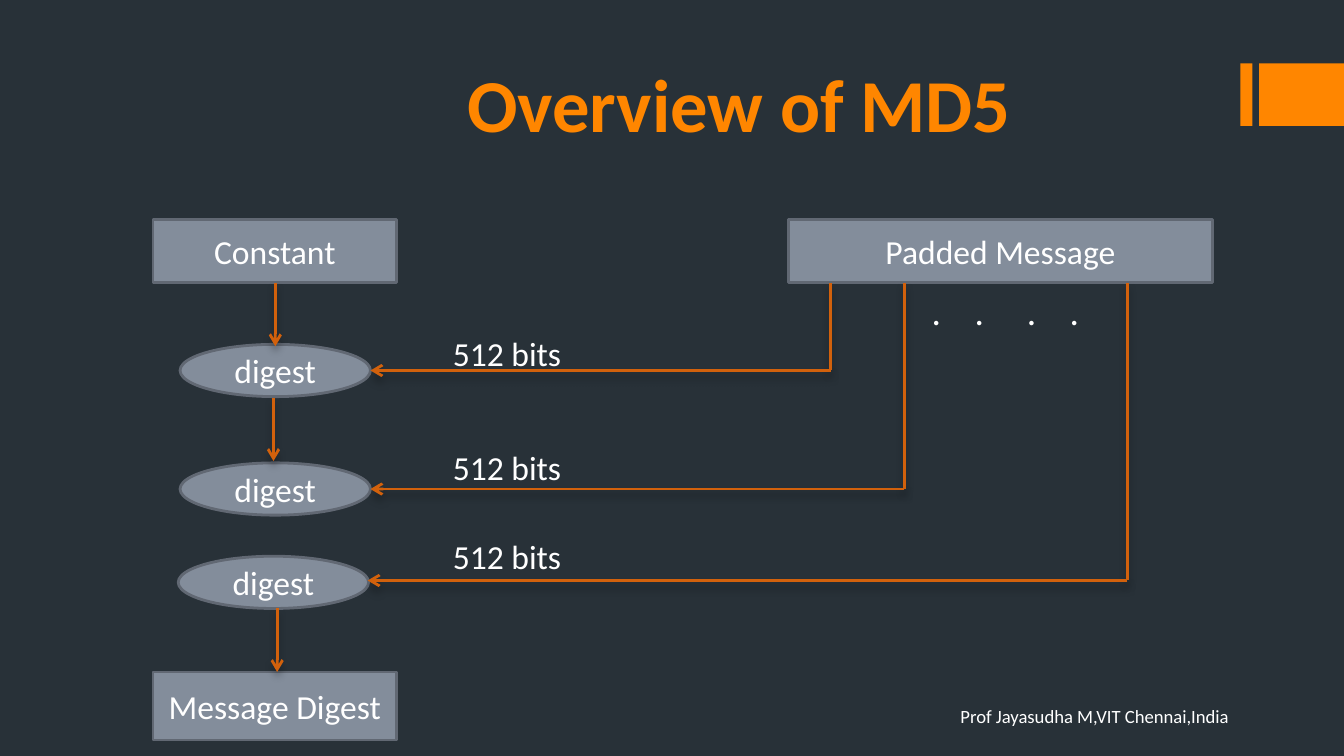
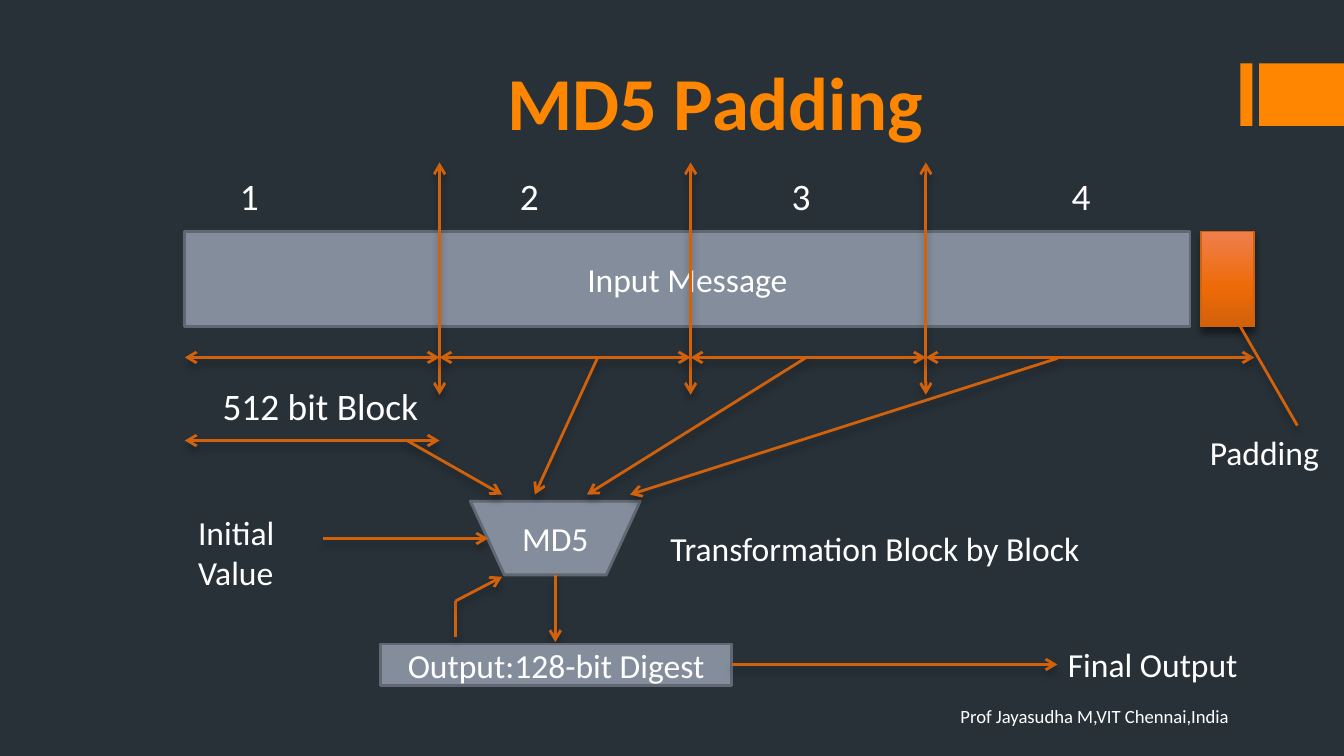
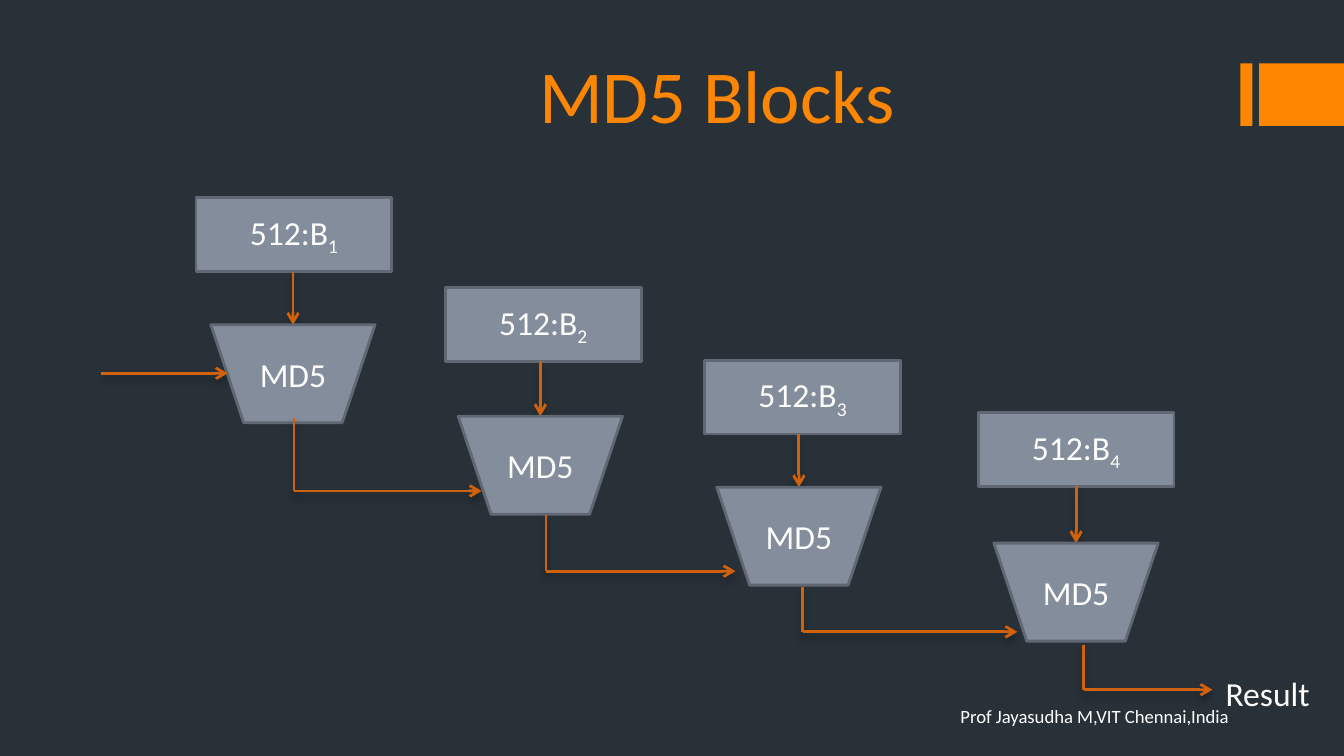
import copy
import itertools

import lxml.etree
import pptx
import pptx.dml.color
import pptx.enum.shapes
import pptx.enum.text
import pptx.oxml.ns
import pptx.util

Pt = pptx.util.Pt
qn = pptx.oxml.ns.qn
SHAPE = pptx.enum.shapes.MSO_SHAPE
ALIGN = pptx.enum.text.PP_ALIGN
ANCHOR = pptx.enum.text.MSO_ANCHOR

COLORS = {
    "background": "283138",
    "accent": "FF8600",
    "text": "FFFFFF",
    "box": "838D9B",
    "edge": "616873",
    "arrow": "D2610C",
    "pad_top": "EE7F4C",
    "pad_mid": "EE6A07",
    "shadow": "000000",
}
FONT = "Calibri"


def rgb(name):
    return pptx.dml.color.RGBColor.from_string(COLORS[name])


def points(*lengths):
    return [Pt(length) for length in lengths]


def child(parent, tag, **attributes):
    return lxml.etree.SubElement(parent, qn(tag), attributes)


def write(p, text, size=18, color="text", bold=False, align=None, sub=None,
          left=None):
    """Fill a paragraph; sub is a subscript that follows the text."""
    if left is not None:
        pPr = p._p.get_or_add_pPr()
        pPr.set("marL", str(Pt(left)))
        pPr.set("indent", "0")
        child(pPr, "a:buNone")
        p.space_before = 0
    p.alignment = align
    for part in filter(None, (text, sub)):
        r = p.add_run()
        r.text = part
        r.font.name = FONT
        r.font.size = Pt(size)
        r.font.bold = bold
        r.font.color.rgb = rgb(color)
    if sub:
        r._r.get_or_add_rPr().set("baseline", "-25000")


def add_shadow(sp, opacity, blur):
    spPr = sp.element.spPr
    effects = spPr.find(qn("a:effectLst"))
    if effects is None:
        effects = child(spPr, "a:effectLst")
    outer = child(effects, "a:outerShdw", blurRad=str(Pt(blur)), dist=str(Pt(3)),
                  dir="5400000", rotWithShape="0")
    color = child(outer, "a:srgbClr", val=COLORS["shadow"])
    child(color, "a:alpha", val=str(opacity * 1000))


def add_box(s, box, text="", kind=SHAPE.RECTANGLE, fill="box", edge="edge",
            width=1.5, **fmt):
    sp = s.shapes.add_shape(kind, *points(*box))
    sp.shadow.inherit = False
    sp.fill.solid()
    sp.fill.fore_color.rgb = rgb(fill)
    if edge:
        sp.line.color.rgb = rgb(edge)
        sp.line.width = Pt(width)
    else:
        sp.line.fill.background()
    if text:
        tf = sp.text_frame
        tf.word_wrap = True
        tf.vertical_anchor = ANCHOR.MIDDLE
        write(tf.paragraphs[0], text, align=ALIGN.CENTER, **fmt)
    return sp


def add_label(s, box, text, **fmt):
    tf = s.shapes.add_textbox(*points(*box)).text_frame
    tf.word_wrap = True
    write(tf.paragraphs[0], text, **fmt)
    return tf


def add_line(s, x1, y1, x2, y2, ends=("tailEnd",)):
    c = s.shapes.add_connector(pptx.enum.shapes.MSO_CONNECTOR.STRAIGHT,
                               *points(x1, y1, x2, y2))
    c.line.color.rgb = rgb("arrow")
    c.line.width = Pt(1.5)
    ln = c.element.spPr.find(qn("a:ln"))
    for end in ends:
        child(ln, "a:" + end, type="arrow")
    add_shadow(c, 28, 4)


def add_double_arrow(s, *ends):
    add_line(s, *ends, ends=("headEnd", "tailEnd"))


def add_elbow(s, x1, y1, x2, y2):
    """Go down from the first point, then across to an arrowhead."""
    add_line(s, x1, y1, x1, y2, ends=())
    add_line(s, x1, y2, x2, y2)


def style_master(prs, s):
    """Give the master its background and accent bars, drawn by way of slide s."""
    master = prs.slide_master
    master.background.fill.solid()
    master.background.fill.fore_color.rgb = rgb("background")
    for x, w in ((664.5, 6.5), (674.5, 45.5)):
        bar = add_box(s, (x, 34, w, 33.5), fill="accent", edge=None)
        master.shapes.element.append(bar.element)


def place(ph, box):
    ph.left, ph.top, ph.width, ph.height = points(*box)
    ph.text_frame.auto_size = pptx.enum.text.MSO_AUTO_SIZE.NONE
    return ph.text_frame


def set_title(s, box, text, bold=True, below=3.6):
    tf = place(s.shapes.title, box)
    tf.vertical_anchor = ANCHOR.BOTTOM
    tf.margin_bottom = Pt(below)
    write(tf.paragraphs[0], text, size=40, color="accent", bold=bold,
          align=ALIGN.CENTER)


def add_footer(s):
    tf = add_label(s, (507.5, 377.5, 177, 18), "Prof Jayasudha M,VIT Chennai,India",
                   size=10)
    tf.margin_top = 0


def digest_chain(s, box):
    x, y, w, h = box
    add_box(s, (x, y, w, 34), "Constant")
    add_box(s, (x, y + h - 36.5, w, 36.5), "Message Digest")
    for dx, dy in ((14.5, 67), (14.5, 130.5), (13.5, 180.5)):
        add_box(s, (x + dx, y + dy, 102, 28), "digest", kind=SHAPE.OVAL)
    for dx, top, bottom in ((65.5, 34, 68), (64.5, 95.5, 129.5), (66.5, 208.5, 242.5)):
        add_line(s, x + dx, y + top, x + dx, y + bottom)


def message_feeds(s, box, chain):
    """Draw the padded message and its feeds into the digests of the chain."""
    x, y, w, h = box
    add_box(s, box, "Padded Message")
    for dx, dy, end, label in ((22.5, 81, 116.5, 57.5), (62, 144.5, 116.5, 118.5),
                               (181.5, 193.5, 115, 166)):
        add_elbow(s, x + dx, y + h, chain[0] + end, y + dy)
        add_label(s, (chain[0] + 153.5, y + label, 107, 29), "512 bits")
    for dx in (69.5, 92.5, 120.5, 143.5):
        add_label(s, (x + dx, y + 33.5, 22, 32), ".", size=20)


def input_strip(s, box):
    x, y, w, h = box
    add_box(s, box, "Input Message")
    for number, dx in enumerate((22.5, 172.5, 318, 468), 1):
        add_label(s, (x + dx, y - 35, 30, 32), str(number), size=20)
    cuts = [x, x + 136.5, x + 271, x + 397, x + 573]
    for cut in cuts[1:-1]:
        add_double_arrow(s, cut, y - 37, cut, y + 87.5)
    for start, end in itertools.pairwise(cuts):
        add_double_arrow(s, start, y + 67.5, end, y + 67.5)
    add_double_arrow(s, cuts[0], y + 112, cuts[1], y + 112)


def padding_block(s, box):
    x, y, w, h = box
    sp = add_box(s, box, edge="arrow", width=1)
    sp.fill.gradient()
    sp.fill.gradient_angle = 270
    stops = sp.element.spPr.find(".//" + qn("a:gsLst"))
    stops.insert(1, copy.deepcopy(stops[0]))
    for stop, position, color in zip(sp.fill.gradient_stops, (0, 0.6, 1),
                                     ("pad_top", "pad_mid", "arrow")):
        stop.position = position
        stop.color.rgb = rgb(color)
    add_shadow(sp, 48, 3.8)
    add_line(s, x + 21, y + h, x + 51.5, y + 104, ends=())
    add_label(s, (x - 2.5, y + 104, 79, 29), "Padding")


def transformation(s, box, strip):
    """Draw the MD5 step in the box, its inputs from the strip and its output."""
    x, y, w, h = box
    add_box(s, box, "MD5", kind=SHAPE.FLOWCHART_MANUAL_OPERATION)
    for dx, dy, end in ((119, 112, 17), (221, 68, 34.5), (333, 67.5, 62.5),
                        (467.5, 68, 85.5)):
        add_line(s, strip[0] + dx, strip[1] + dy, x + end, y - 3.5)
    add_line(s, x + w / 2, y + h, x + w / 2, y + 75.5)
    add_line(s, x - 79, y + 20, x + 9.5, y + 20)
    add_label(s, (x - 153, y + 2, 68, 51), "Initial Value")
    add_label(s, (x + 100, y + 11, 368, 29), "Transformation Block by Block")
    add_box(s, (x - 48, y + 76.5, 188, 22.5), "Output:128-bit Digest")
    add_line(s, x + 140, y + 87.5, x + 314.5, y + 87.5)
    add_label(s, (x + 313, y + 73, 133, 29), "Final Output")
    add_line(s, x - 8, y + 73, x - 8, y + 53.5, ends=())
    add_line(s, x - 8, y + 53.5, x + 17, y + 40.5)


def block_stage(s, box, number, shift, drop, exit_line):
    """Draw a block and its MD5 step, set off by shift and drop from the box."""
    x, y, w, h = box
    add_box(s, box, "512:B", sub=str(number))
    add_line(s, x + shift + 44, y + h, x + shift + 44, y + drop)
    add_box(s, (x + shift, y + drop, 88, 52.5), "MD5",
            kind=SHAPE.FLOWCHART_MANUAL_OPERATION)
    x1, y1, x2, y2 = exit_line
    add_elbow(s, x + x1, y + y1, x + x2, y + y2)


def overview_slide(s):
    set_title(s, (96, 0, 600, 130), "Overview of MD5", below=51)
    chain = (82, 117.5, 130.5, 279)
    digest_chain(s, chain)
    message_feeds(s, (422.5, 117.5, 227, 34), chain)
    add_footer(s)


def padding_slide(s):
    set_title(s, (74, 16.5, 618, 112.5), "MD5 Padding", below=51)
    tf = place(s.placeholders[1], (72, 90, 639, 289))
    tf.margin_top = Pt(115)
    write(tf.paragraphs[0], "512 bit Block", size=20, left=40)
    strip = (99, 124, 538.5, 51)
    input_strip(s, strip)
    transformation(s, (252, 268.5, 91, 39.5), strip)
    padding_block(s, (643.5, 124, 28.5, 51))
    add_footer(s)


def blocks_slide(s):
    set_title(s, (108, 0, 552, 78), "MD5 Blocks", bold=False)
    stages = (
        (105, 106, 8, 68, (52.5, 118, 153, 157)),
        (238.5, 154, 7, 69, (54, 122, 155.5, 152)),
        (377.5, 193, 6.5, 68, (52.5, 121.5, 167.5, 145.5)),
        (524, 221, 8.5, 70, (56.5, 124.5, 125.5, 148.5)),
    )
    for number, (x, y, shift, drop, exit_line) in enumerate(stages, 1):
        block_stage(s, (x, y, 105, 39.5), number, shift, drop, exit_line)
    add_line(s, 54, 200, 122, 200)
    add_label(s, (649.5, 357, 63, 29), "Result")
    add_footer(s)


def main():
    prs = pptx.Presentation()
    prs.slide_width, prs.slide_height = points(720, 405)
    for number, (layout, build) in enumerate(((5, overview_slide), (1, padding_slide),
                                              (5, blocks_slide))):
        s = prs.slides.add_slide(prs.slide_layouts[layout])
        if number == 0:
            style_master(prs, s)
        build(s)
    prs.save("out.pptx")


if __name__ == "__main__":
    main()
